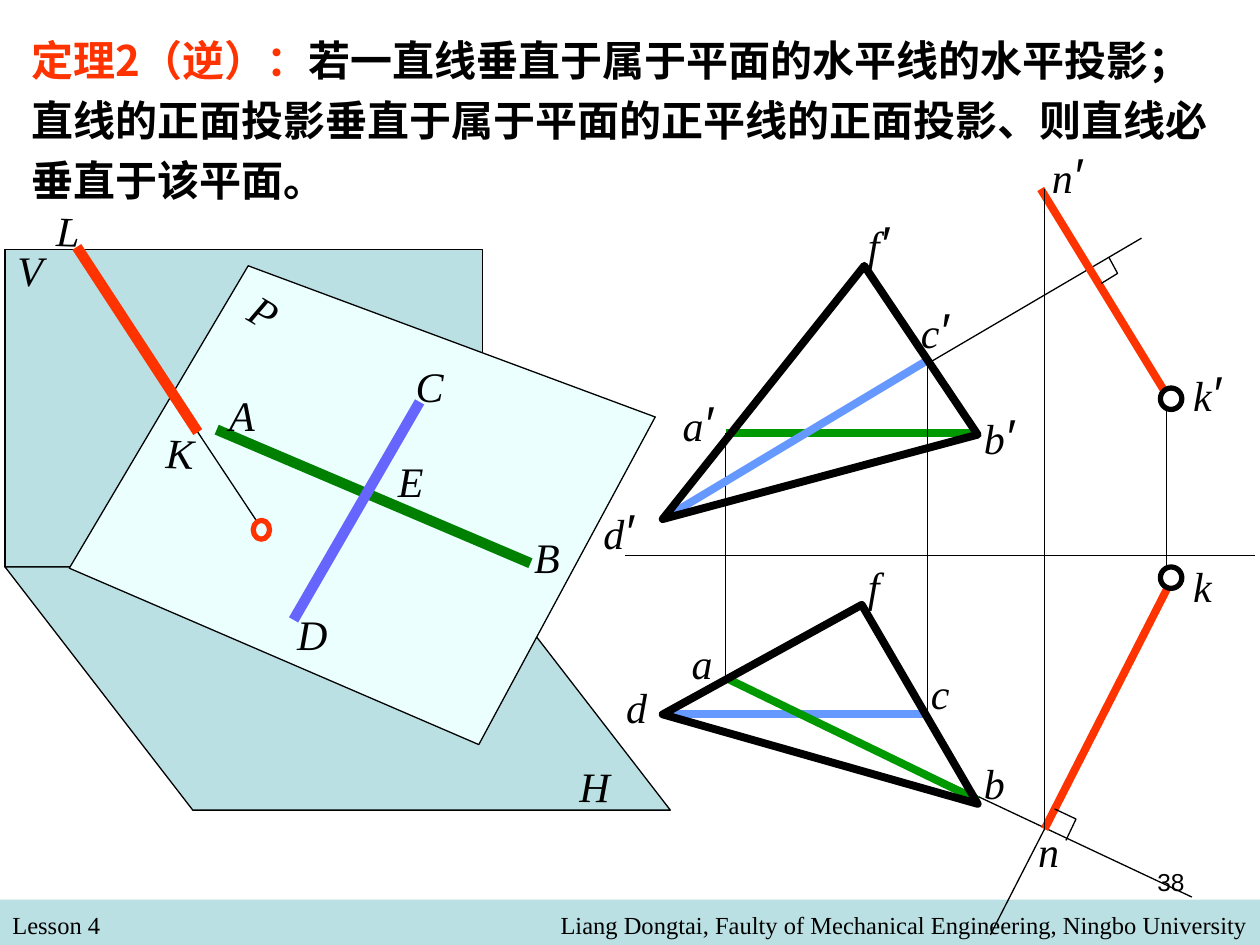
import pptx
import pptx.util
import pptx.dml.color
import pptx.enum.shapes
import pptx.enum.text
import pptx.oxml.ns
from lxml import etree

THEME = {
    "black": "000000", "white": "FFFFFF", "red": "FF3300", "green": "009900",
    "dark green": "008000", "blue": "6699FF", "violet": "6666FF",
    "plane": "BBE0E3", "tilted plane": "EBFFFF",
    "serif": "Times New Roman", "sans": "Arial", "cjk": "Noto Sans CJK SC",
    "body": 24, "prime": 28, "small": 14,
    "thin": 0.75, "ring": 3, "bold": 4.5, "heavy": 6,
}
WIDTH, HEIGHT = 10, 7.5

# Content: theorem and footer
THEOREM = [
    ("定理2（逆）：", "red"),
    ("若一直线垂直于属于平面的水平线的水平投影；直线的正面投影垂直于"
     "属于平面的正平线的正面投影、则直线必垂直于该平面。", "black"),
]
FOOTER_TOP = 7.14
FOOTER = [  # text, box, alignment, typeface
    ("Lesson 4", (0, 7.17, 4.83, 0.34), "LEFT", "serif"),
    ("Liang Dongtai, Faulty of Mechanical Engineering, Ningbo University",
     (1.83, 7.17, 8.17, 0.34), "RIGHT", "serif"),
    ("38", (7.17, 6.83, 2.33, 0.52), "RIGHT", "sans"),
]

# Content: points of the two projections, in inches
FRONT = {"a": (5.76, 3.44), "b": (7.76, 3.45), "c": (7.36, 2.86),
         "d": (5.26, 4.12), "f": (6.86, 2.11), "n": (8.26, 1.5), "k": (9.27, 3.15)}
TOP = {"a": (5.76, 5.38), "b": (7.76, 6.38), "c": (7.36, 5.67),
       "d": (5.26, 5.67), "f": (6.84, 4.8), "n": (8.29, 6.58), "k": (9.31, 4.58)}
PROJECTION_LINES = [  # from, to, colour, weight
    (TOP["a"], (9.46, 7.12), "black", "thin"),
    ((7.76, 3.44), FRONT["a"], "green", "bold"),
    (TOP["d"], TOP["c"], "blue", "bold"),
    (FRONT["a"], TOP["a"], "black", "thin"),
    (TOP["a"], (7.76, 6.35), "green", "bold"),
    (FRONT["d"], (9.06, 1.89), "black", "thin"),
    (TOP["c"], FRONT["c"], "black", "thin"),
    (FRONT["c"], FRONT["d"], "blue", "bold"),
    (FRONT["k"], FRONT["n"], "red", "bold"),
    (TOP["n"], TOP["k"], "red", "bold"),
    (TOP["n"], (7.86, 7.42), "black", "thin"),
    ((4.96, 4.41), (9.96, 4.41), "black", "thin"),
    ((9.26, 3.15), (9.26, 4.6), "black", "thin"),
    (TOP["n"], (8.29, 1.5), "black", "thin"),
]
RIGHT_ANGLES = [[(8.37, 6.42), (8.54, 6.5), (8.46, 6.67)],
                [(8.8, 2.04), (8.87, 2.17), (8.74, 2.25)]]
K_RINGS = [(9.21, 3.08, 0.17, 0.17), (9.21, 4.5, 0.17, 0.17)]
FRONT_LABELS = {"a": (5.32, 3.07), "b": (7.71, 3.17), "c": (7.21, 2.33),
                "d": (4.69, 3.92), "f": (6.79, 1.64), "n": (8.25, 1.1), "k": (9.37, 2.83)}
TOP_LABELS = {"a": (5.39, 5.01), "b": (7.71, 5.96), "c": (7.29, 5.25),
              "d": (4.87, 5.36), "f": (6.79, 4.4), "n": (8.14, 6.5), "k": (9.37, 4.4)}

# Content: spatial view
V_PLANE = (0.04, 1.98, 3.79, 2.52)
H_PLANE = [(0.04, 4.5), (1.53, 6.43), (5.32, 6.43), (3.83, 4.5)]
P_PLANE = [(1.97, 2.11), (0.55, 4.51), (3.8, 5.91), (5.2, 3.31)]
K_POINT = (1.57, 3.43)
SPATIAL_LINES = [
    ((1.72, 3.41), (4.21, 4.47), "dark green", "heavy"),
    ((2.33, 4.92), (3.33, 3.19), "violet", "heavy"),
    ((0.61, 1.96), K_POINT, "red", "heavy"),
    (K_POINT, (2.08, 4.2), "black", "thin"),
]
FOOT_RING = (2.01, 4.13, 0.13, 0.15)
SPATIAL_LABELS = [  # letter, left, top, width, rotation
    ("V", 0.04, 1.89, 0.69, 0), ("P", 1.91, 2.2, 0.32, 30.7),
    ("A", 1.72, 3.04, 0.34, 0), ("K", 1.22, 3.34, 0.34, 2.1),
    ("L", 0.35, 1.58, 0.34, 2.1), ("D", 2.26, 4.78, 0.33, 0),
    ("C", 3.2, 2.81, 0.34, 0), ("B", 4.14, 4.17, 0.33, 0),
    ("E", 3.06, 3.57, 0.34, 0), ("H", 4.5, 5.99, 0.76, 0.6),
]


# Helpers
def inches(values):
    return [pptx.util.Inches(value) for value in values]


def rgb(name):
    return pptx.dml.color.RGBColor.from_string(THEME[name])


def style_font(font, face, size, colour="black", **flags):
    font.name, font.size = THEME[face], pptx.util.Pt(THEME[size])
    font.color.rgb = rgb(colour)
    for flag, value in flags.items():
        setattr(font, flag, value)


def paint(shape, fill=None, line="black", weight="thin"):
    shape.shadow.inherit = False
    if fill:
        shape.fill.solid()
        shape.fill.fore_color.rgb = rgb(fill)
    else:
        shape.fill.background()
    if line:
        shape.line.color.rgb = rgb(line)
        shape.line.width = pptx.util.Pt(THEME[weight])
    else:
        shape.line.fill.background()


def add_preset(shapes, kind, box, *look):
    shape = shapes.add_shape(getattr(pptx.enum.shapes.MSO_SHAPE, kind), *inches(box))
    paint(shape, *look)
    return shape


def add_outline(shapes, points, *look, close=True):
    start, *rest = [inches(point) for point in points]
    builder = shapes.build_freeform(*start)
    builder.add_line_segments(rest, close=close)
    paint(builder.convert_to_shape(), *look)


def add_lines(shapes, lines):
    for start, end, colour, weight in lines:
        line = shapes.add_connector(pptx.enum.shapes.MSO_CONNECTOR.STRAIGHT,
                                    *inches(start + end))
        line.line.color.rgb = rgb(colour)
        line.line.width = pptx.util.Pt(THEME[weight])
        etree.SubElement(line._element.spPr, pptx.oxml.ns.qn("a:effectLst"))


def add_text(shapes, text, box):
    holder = shapes.add_textbox(*inches(box))
    holder.text_frame.word_wrap = True
    paragraph = holder.text_frame.paragraphs[0]
    paragraph.add_run().text = text
    return holder, paragraph


def add_label(shapes, letter, left, top, width=0.58, rotation=0, prime=False):
    holder, paragraph = add_text(shapes, letter, (left, top, width, 0.57 if prime else 0.5))
    holder.rotation = rotation
    if prime:
        style_font(paragraph.runs[0].font, "serif", "body", italic=True)
        mark = paragraph.add_run()
        mark.text = "′"
        style_font(mark.font, "sans", "prime", italic=True)
    else:
        style_font(paragraph.font, "serif", "body", italic=True)


# Slide parts
def add_theorem(title):
    title.left, title.top, title.width, title.height = inches((0.15, 0.14, 9.73, 1.54))
    frame = title.text_frame
    frame.word_wrap = True
    frame.auto_size = pptx.enum.text.MSO_AUTO_SIZE.NONE
    frame.vertical_anchor = pptx.enum.text.MSO_ANCHOR.TOP
    paragraph = frame.paragraphs[0]
    paragraph.alignment = pptx.enum.text.PP_ALIGN.LEFT
    paragraph.line_spacing = 1.2
    for text, colour in THEOREM:
        run = paragraph.add_run()
        run.text = text
        style_font(run.font, "cjk", "body", colour, bold=True)
        etree.SubElement(run.font._element, pptx.oxml.ns.qn("a:ea"), typeface=THEME["cjk"])


def add_footer(shapes):
    add_preset(shapes, "RECTANGLE", (0, FOOTER_TOP, WIDTH, HEIGHT - FOOTER_TOP), "plane", None)
    for text, box, side, face in FOOTER:
        _, paragraph = add_text(shapes, text, box)
        paragraph.alignment = getattr(pptx.enum.text.PP_ALIGN, side)
        style_font(paragraph.font, face, "small")


def add_projections(shapes):
    add_lines(shapes, PROJECTION_LINES)
    for view in (FRONT, TOP):
        add_outline(shapes, [view[corner] for corner in "fdb"], None, "black", "bold")
    for ring in K_RINGS:
        add_preset(shapes, "OVAL", ring, "white", "black", "ring")
    for corner in RIGHT_ANGLES:
        add_outline(shapes, corner, close=False)
    for labels, prime in ((FRONT_LABELS, True), (TOP_LABELS, False)):
        for letter, place in labels.items():
            add_label(shapes, letter, *place, prime=prime)


def add_spatial_view(shapes):
    add_preset(shapes, "RECTANGLE", V_PLANE, "plane")
    add_outline(shapes, H_PLANE, "plane")
    add_outline(shapes, P_PLANE, "tilted plane")
    add_lines(shapes, SPATIAL_LINES)
    add_preset(shapes, "OVAL", FOOT_RING, "tilted plane", "red", "ring").rotation = 2.1
    for label in SPATIAL_LABELS:
        add_label(shapes, *label)


def main():
    deck = pptx.Presentation()
    deck.slide_width, deck.slide_height = inches((WIDTH, HEIGHT))
    slide = deck.slides.add_slide(deck.slide_layouts[5])
    add_theorem(slide.shapes.title)
    add_footer(slide.shapes)
    add_projections(slide.shapes.add_group_shape().shapes)
    add_spatial_view(slide.shapes.add_group_shape().shapes)
    deck.save("out.pptx")


if __name__ == "__main__":
    main()
